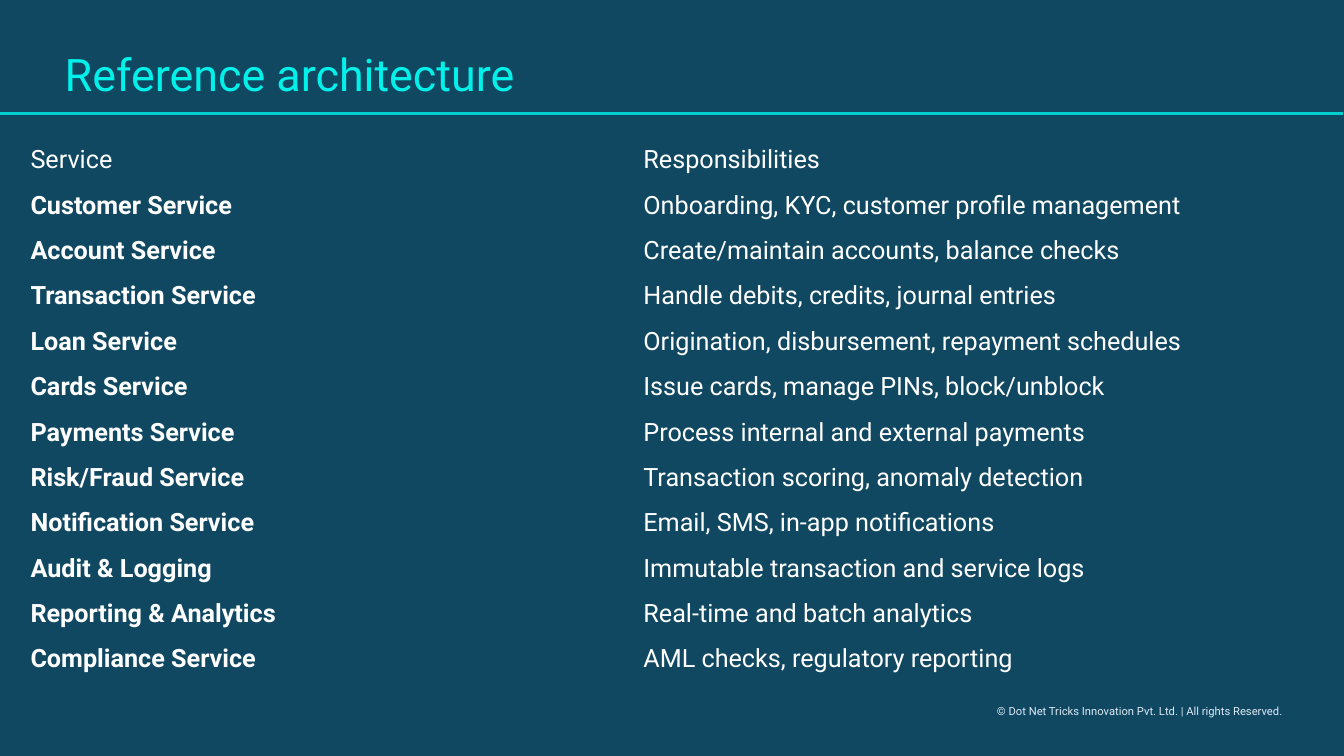
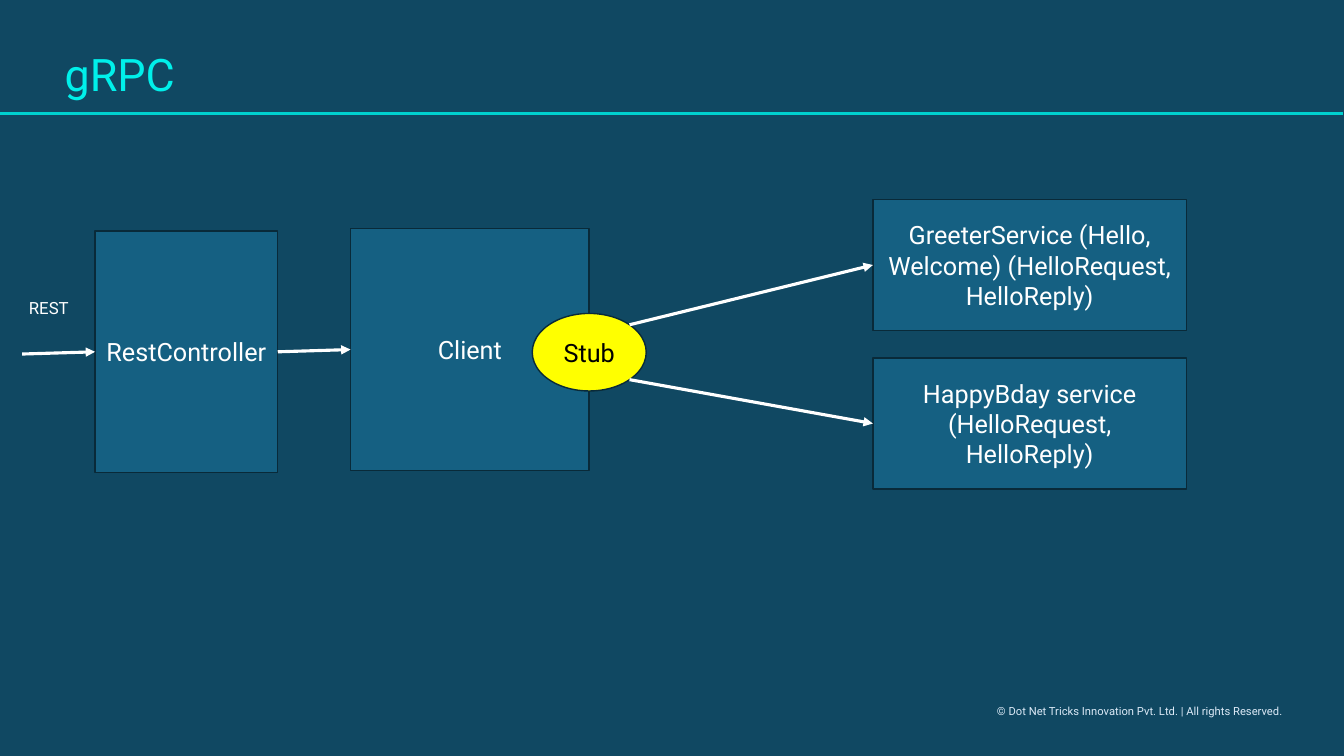
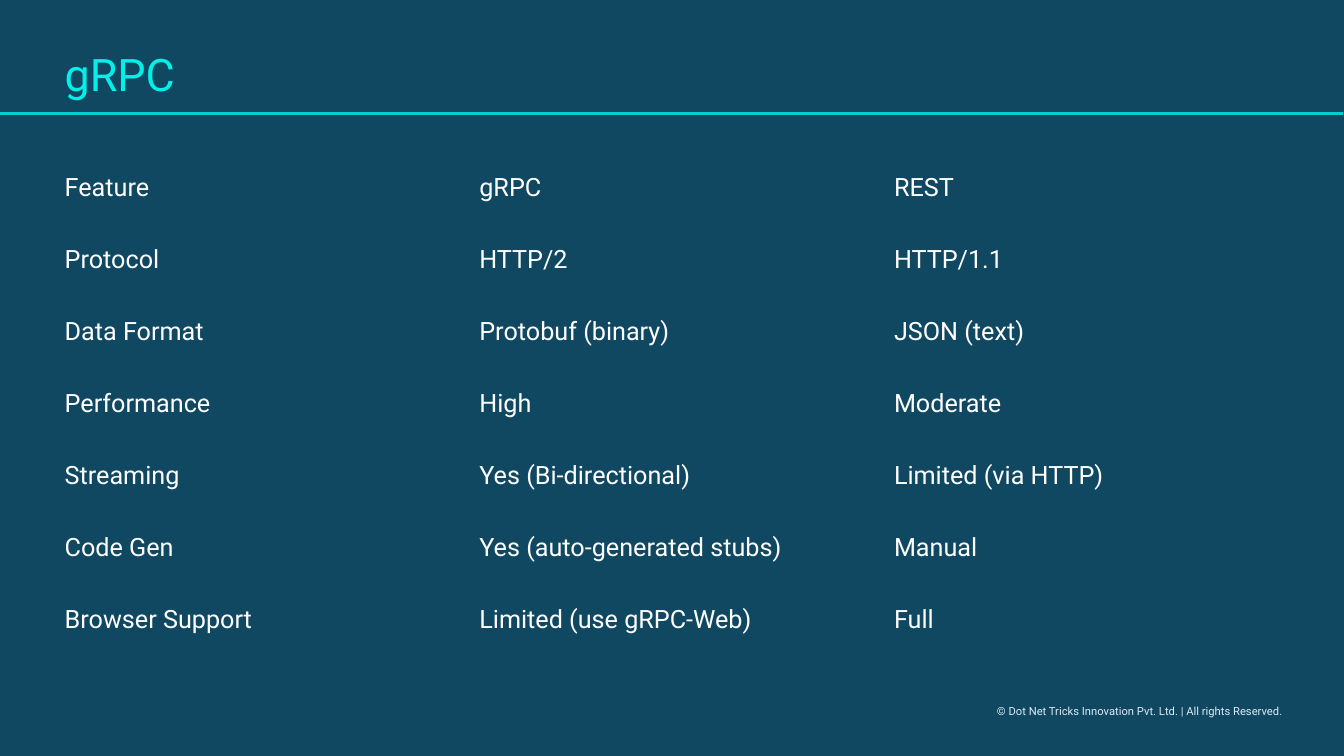
from dataclasses import dataclass
from math import sqrt

from lxml.etree import SubElement
from pptx import Presentation
from pptx.dml.color import RGBColor
from pptx.enum.shapes import MSO_CONNECTOR, MSO_SHAPE
from pptx.enum.text import MSO_ANCHOR, MSO_AUTO_SIZE, PP_ALIGN
from pptx.oxml.ns import qn
from pptx.util import Pt


@dataclass(frozen=True)
class Theme:
    font: str = "Roboto"
    back: str = "104862"
    title: str = "00F0EA"
    rule: str = "00D1CF"
    foot: str = "DCEAF7"
    box: str = "156082"
    edge: str = "092A39"
    stub: str = "FFFF00"
    light: str = "FFFFFF"
    dark: str = "000000"
    head_size: int = 32
    body_size: int = 18
    label_size: int = 12
    foot_size: int = 8


theme = Theme()
NO_GRID = "{2D5ABB26-0587-4C30-8999-92F81FD0307C}"


def write(frame, text, size, color, bold=False):
    frame.text = text
    font = frame.paragraphs[0].runs[0].font
    font.name, font.size, font.bold = theme.font, Pt(size), bold
    font.color.rgb = RGBColor.from_string(color)


def link(slide, start, end, color, width):
    """Add a straight line without a shadow."""
    line = slide.shapes.add_connector(
        MSO_CONNECTOR.STRAIGHT, *map(Pt, start + end))
    line.line.color.rgb = RGBColor.from_string(color)
    line.line.width = Pt(width)
    SubElement(line.element.spPr, qn("a:effectLst"))
    return line


deck = Presentation()
deck.slide_width, deck.slide_height = Pt(960), Pt(540)
fill = deck.slide_master.background.fill
fill.solid()
fill.fore_color.rgb = RGBColor.from_string(theme.back)

layout = deck.slide_layouts[5]
for holder in list(layout.placeholders):
    if holder.placeholder_format.idx:
        holder.element.getparent().remove(holder.element)

# Slides with their titles
slides = []
for text in ("Reference architecture", "gRPC", "gRPC"):
    slide = deck.slides.add_slide(layout)
    title = slide.shapes.title
    title.left, title.top = Pt(39), Pt(33.8)
    title.width, title.height = Pt(875.5), Pt(41.8)
    frame = title.text_frame
    write(frame, text, theme.head_size, theme.title)
    frame.auto_size = MSO_AUTO_SIZE.NONE
    frame.vertical_anchor = MSO_ANCHOR.TOP
    frame.paragraphs[0].alignment = PP_ALIGN.LEFT
    frame.paragraphs[0].line_spacing = 0.9
    slides.append(slide)
first, flow, last = slides

# Footer and rule, moved to the layout that all slides share
foot = first.shapes.add_textbox(Pt(705), Pt(499.7), Pt(219.6), Pt(17))
foot.text_frame.word_wrap = False
write(foot.text_frame, "© Dot Net Tricks Innovation Pvt. Ltd. | All rights Reserved.",
      theme.foot_size, theme.foot)
rule = link(first, (0, 81), (959, 81), theme.rule, 2)
for part in (foot, rule):
    layout.shapes.element.append(part.element)

# Tables
duties = [
    ("Service", "Responsibilities"),
    ("Customer Service", "Onboarding, KYC, customer profile management"),
    ("Account Service", "Create/maintain accounts, balance checks"),
    ("Transaction Service", "Handle debits, credits, journal entries"),
    ("Loan Service", "Origination, disbursement, repayment schedules"),
    ("Cards Service", "Issue cards, manage PINs, block/unblock"),
    ("Payments Service", "Process internal and external payments"),
    ("Risk/Fraud Service", "Transaction scoring, anomaly detection"),
    ("Notification Service", "Email, SMS, in-app notifications"),
    ("Audit & Logging", "Immutable transaction and service logs"),
    ("Reporting & Analytics", "Real-time and batch analytics"),
    ("Compliance Service", "AML checks, regulatory reporting"),
]
traits = [
    ("Feature", "gRPC", "REST"),
    ("Protocol", "HTTP/2", "HTTP/1.1"),
    ("Data Format", "Protobuf (binary)", "JSON (text)"),
    ("Performance", "High", "Moderate"),
    ("Streaming", "Yes (Bi-directional)", "Limited (via HTTP)"),
    ("Code Gen", "Yes (auto-generated stubs)", "Manual"),
    ("Browser Support", "Limited (use gRPC-Web)", "Full"),
]
for slide, rows, area, strong in (
    (first, duties, (14.6, 98.3, 875.6, 388.8), True),
    (last, traits, (39, 108.5, 888.6, 360), False),
):
    table = slide.shapes.add_table(
        len(rows), len(rows[0]), *map(Pt, area)).table
    table.first_row = table.horz_banding = False
    table._tbl.tblPr.find(qn("a:tableStyleId")).text = NO_GRID
    for r, row in enumerate(rows):
        for c, text in enumerate(row):
            cell = table.cell(r, c)
            cell.fill.background()
            cell.vertical_anchor = MSO_ANCHOR.MIDDLE
            write(cell.text_frame, text, theme.body_size, theme.light,
                  bold=strong and r > 0 and c == 0)

# Call flow
RECT, OVAL = MSO_SHAPE.RECTANGLE, MSO_SHAPE.OVAL
stub = (380.2, 223.9, 81.4, 55.4)
nodes = {}
for name, kind, area, color, ink, text in (
    ("greet", RECT, (623.5, 142.4, 224, 93.8), theme.box, theme.light,
     "GreeterService (Hello, Welcome) (HelloRequest, HelloReply)"),
    ("bday", RECT, (623.5, 255.6, 224, 93.8), theme.box, theme.light,
     "HappyBday service (HelloRequest, HelloReply)"),
    ("client", RECT, (250.4, 163.3, 170.4, 172.8), theme.box, theme.light, "Client"),
    ("stub", OVAL, stub, theme.stub, theme.dark, "Stub"),
    ("rest", RECT, (67.9, 164.9, 130.5, 172.8), theme.box, theme.light,
     "RestController"),
):
    node = flow.shapes.add_shape(kind, *map(Pt, area))
    node.shadow.inherit = False
    node.fill.solid()
    node.fill.fore_color.rgb = RGBColor.from_string(color)
    node.line.color.rgb = RGBColor.from_string(theme.edge)
    node.line.width = Pt(1)
    frame = node.text_frame
    frame.word_wrap = True
    frame.vertical_anchor = MSO_ANCHOR.MIDDLE
    write(frame, text, theme.body_size, ink)
    frame.paragraphs[0].alignment = PP_ALIGN.CENTER
    nodes[name] = node

# Two arrows leave the oval at 45 degrees
left, top, width, height = stub
out = left + width / 2 * (1 + sqrt(0.5))
mid, rise = top + height / 2, height / 2 * sqrt(0.5)
for start, source, target in (
    ((out, mid - rise), None, "greet"),
    ((out, mid + rise), None, "bday"),
    ((198.4, 251.3), "rest", "client"),
    ((15.8, 252.9), None, "rest"),
):
    arrow = link(flow, start, start, theme.light, 2.25)
    if source:
        arrow.begin_connect(nodes[source], 3)
    arrow.end_connect(nodes[target], 1)
    SubElement(arrow.line._get_or_add_ln(), qn("a:tailEnd"), type="triangle")

label = flow.shapes.add_textbox(Pt(13.6), Pt(209.3), Pt(45.4), Pt(21.8))
label.text_frame.word_wrap = False
write(label.text_frame, "REST", theme.label_size, theme.light)

deck.save("out.pptx")
